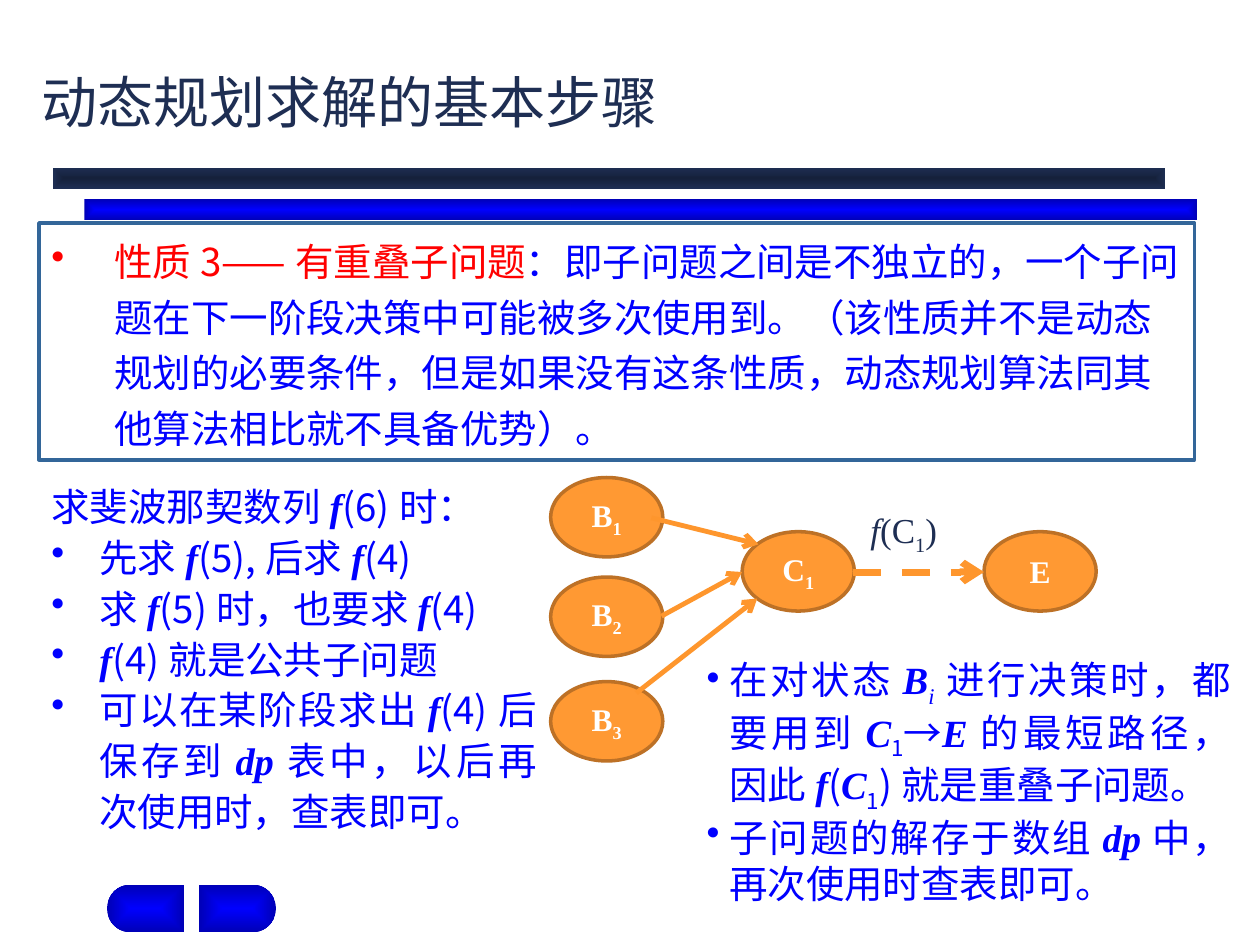
from math import cos, pi, sin
from typing import NamedTuple, Optional

from lxml.etree import SubElement
from pptx import Presentation
from pptx.dml.color import RGBColor
from pptx.enum.dml import MSO_LINE
from pptx.enum.shapes import MSO_CONNECTOR, MSO_SHAPE
from pptx.enum.text import MSO_ANCHOR as Anchor, MSO_AUTO_SIZE as AutoSize, PP_ALIGN as Align
from pptx.oxml.ns import qn
from pptx.util import Inches, Pt

NAVY, DARK_NAVY = RGBColor(0x1E, 0x2E, 0x53), RGBColor(0x15, 0x21, 0x3B)
BLUE, DARK_BLUE = RGBColor(0, 0, 0xFF), RGBColor(0, 0, 0xB6)
RED, WHITE = RGBColor(0xFF, 0, 0), RGBColor(0xFF, 0xFF, 0xFF)
STEEL = RGBColor(0x33, 0x66, 0x99)
ORANGE, BROWN, ARROW = RGBColor(0xFF, 0x99, 0x33), RGBColor(0xBD, 0x71, 0x26), RGBColor(0xFE, 0x96, 0x2D)
SANS, SERIF, MONO = "Noto Sans CJK SC", "Times New Roman", "Courier New"
COLUMNS, ROWS = 100, 75
WIDTH, HEIGHT = Inches(10), Inches(7.5)


class Box(NamedTuple):
    column: float
    row: float
    columns: float
    rows: float


class Run(NamedTuple):
    text: str
    font: str = SANS
    bold: bool = False
    italic: bool = False
    subscript: bool = False
    color: RGBColor = BLUE
    size: int = 22


class Line(NamedTuple):
    runs: list
    indent: float = 0
    spacing: Optional[float] = None
    align: Optional[Align] = None


class Node(NamedTuple):
    letter: str
    index: str
    column: float
    row: float


class Arrow(NamedTuple):
    start: tuple
    end: tuple
    width: float = 2.75
    dashed: bool = False


def var(text: str) -> Run:
    return Run(text, SERIF, True, True)


def sub(text: str) -> Run:
    return Run(text, subscript=True)


def x(column: float) -> int:
    return round(WIDTH * column / COLUMNS)


def y(row: float) -> int:
    return round(HEIGHT * row / ROWS)


def place(box: Box) -> tuple:
    return x(box.column), y(box.row), x(box.columns), y(box.rows)


def glow(shape, center: RGBColor, edge: RGBColor) -> None:
    shape.shadow.inherit = False
    shape.line.fill.background()
    gradient = SubElement(shape.element.spPr, qn("a:gradFill"), rotWithShape="1")
    stops = SubElement(gradient, qn("a:gsLst"))
    for position, color in (("0", center), ("100000", edge)):
        stop = SubElement(stops, qn("a:gs"), pos=position)
        SubElement(stop, qn("a:srgbClr"), val=str(color))
    path = SubElement(gradient, qn("a:path"), path="rect")
    SubElement(path, qn("a:fillToRect"), l="50000", t="50000", r="50000", b="50000")
    shape.line._get_or_add_ln().addprevious(gradient)


def add_bar(slide, box: Box, center: RGBColor, edge: RGBColor) -> None:
    glow(slide.shapes.add_shape(MSO_SHAPE.RECTANGLE, *place(box)), center, edge)


def add_button(slide, flat_column: float, direction: int) -> None:
    radius, middle, straight = 1.9, 72.1, 4.2
    arc = [
        (x(flat_column + direction * (straight + radius * cos(angle))), y(middle + radius * sin(angle)))
        for angle in (pi * step / 20 - pi / 2 for step in range(21))
    ]
    builder = slide.shapes.build_freeform(x(flat_column), y(middle - radius))
    builder.add_line_segments(arc + [(x(flat_column), y(middle + radius))], close=True)
    glow(builder.convert_to_shape(), BLUE, DARK_BLUE)


def write(paragraph, line: Line) -> None:
    properties = paragraph._p.get_or_add_pPr()
    if line.indent:
        properties.set("marL", str(Inches(line.indent)))
        properties.set("indent", str(-Inches(line.indent)))
        SubElement(properties, qn("a:buChar"), char="•")
    paragraph.alignment = line.align
    if line.spacing:
        paragraph.line_spacing = line.spacing
    for item in line.runs:
        run = paragraph.add_run()
        run.text = item.text
        font = run.font
        font.name, font.size = item.font, Pt(item.size)
        font.bold, font.italic = item.bold, item.italic
        font.color.rgb = item.color
        run_properties = run._r.get_or_add_rPr()
        SubElement(run_properties, qn("a:ea"), typeface=SANS)
        if item.subscript:
            run_properties.set("baseline", "-25000")


def add_text(slide, box: Box, lines: list, wrap: bool = True):
    shape = slide.shapes.add_textbox(*place(box))
    frame = shape.text_frame
    frame.word_wrap = wrap
    frame.auto_size = AutoSize.SHAPE_TO_FIT_TEXT
    for number, line in enumerate(lines):
        write(frame.add_paragraph() if number else frame.paragraphs[0], line)
    return shape


def add_panel(slide, box: Box, lines: list):
    shape = add_text(slide, box, lines)
    shape.fill.solid()
    shape.fill.fore_color.rgb = WHITE
    return shape


def add_node(slide, node: Node) -> None:
    box = Box(node.column, node.row, 8.9, 6.3)
    shape = slide.shapes.add_shape(MSO_SHAPE.OVAL, *place(box))
    shape.shadow.inherit = False
    shape.fill.solid()
    shape.fill.fore_color.rgb = ORANGE
    shape.line.color.rgb, shape.line.width = BROWN, Pt(2)
    shape.text_frame.vertical_anchor = Anchor.MIDDLE
    label = Run(node.letter, SERIF, True, color=WHITE, size=18)
    runs = [label] + ([label._replace(text=node.index, subscript=True)] if node.index else [])
    write(shape.text_frame.paragraphs[0], Line(runs, align=Align.CENTER))


def add_arrow(slide, arrow: Arrow) -> None:
    (left, top), (right, bottom) = arrow.start, arrow.end
    connector = slide.shapes.add_connector(MSO_CONNECTOR.STRAIGHT, x(left), y(top), x(right), y(bottom))
    connector.line.color.rgb, connector.line.width = ARROW, Pt(arrow.width)
    if arrow.dashed:
        connector.line.dash_style = MSO_LINE.DASH
    SubElement(connector.line._get_or_add_ln(), qn("a:tailEnd"), type="arrow")
    SubElement(connector.element.spPr, qn("a:effectLst"))


def main() -> None:
    """Build the slide on overlapping subproblems and save it."""
    presentation = Presentation()
    presentation.slide_width, presentation.slide_height = WIDTH, HEIGHT
    slide = presentation.slides.add_slide(presentation.slide_layouts[6])

    add_bar(slide, Box(6.7, 15.8, 88.3, 1.7), BLUE, DARK_BLUE)
    add_bar(slide, Box(4.2, 13.3, 88.3, 1.7), DARK_NAVY, NAVY)
    add_button(slide, 14.6, -1)
    add_button(slide, 15.8, 1)

    decisions = [
        [Run("在对状态"), var("B"), Run("i", SERIF, italic=True, subscript=True), Run("进行决策时，都要用到"),
         var("C"), sub("1"), Run("→"), var("E"), Run("的最短路径，因此"), var("f"), Run("("), var("C"),
         sub("1"), Run(")就是重叠子问题。")],
        [Run("子问题的解存于数组"), var("dp"), Run("中，再次使用时查表即可。")],
    ]
    add_panel(slide, Box(55.1, 51.6, 43.6, 19.5), [Line(runs, 0.18, align=Align.JUSTIFY) for runs in decisions])

    overlap = [
        Run("性质3——有重叠子问题", color=RED),
        Run("：即子问题之间是不独立的，一个子问题在下一阶段决策中可能被多次使用到。（该性质并不是动态规划的"
            "必要条件，但是如果没有这条性质，动态规划算法同其他算法相比就不具备优势）。"),
    ]
    panel = add_panel(slide, Box(3.1, 17.7, 91.7, 18.8), [Line(overlap, 0.5, 1.2)])
    panel.line.color.rgb, panel.line.width = STEEL, Pt(2)

    fibonacci = [
        [Run("求斐波那契数列"), var("f"), Run("(6)时：")],
        [Run("先求"), var("f"), Run("(5),后求"), var("f"), Run("(4)")],
        [Run("求"), var("f"), Run("(5)时，也要求"), var("f"), Run("(4)")],
        [var("f"), Run("(4)就是公共子问题")],
        [Run("可以在某阶段求出"), var("f"), Run("(4)后保存到"), var("dp"), Run("表中，以后再次使用时，查表即可。")],
    ]
    add_text(slide, Box(3.1, 37.5, 40.5, 29.5),
             [Line(runs, 0.38 if number else 0, 1.1, Align.JUSTIFY) for number, runs in enumerate(fibonacci)])
    add_panel(slide, Box(2.3, 4.9, 60.2, 6.4), [Line([Run("动态规划求解的基本步骤", MONO, color=NAVY, size=32)])])

    for node in (Node("C", "1", 58.9, 42.2), Node("E", "", 78.1, 42.2), Node("B", "1", 43.7, 37.9),
                 Node("B", "2", 43.7, 45.8), Node("B", "3", 43.7, 54.1)):
        add_node(slide, node)
    for arrow in (Arrow((67.7, 45.4), (78.1, 45.4), 4, True), Arrow((51.7, 41.1), (60.2, 43.2)),
                  Arrow((52.5, 48.9), (58.9, 45.4)), Arrow((50.5, 55), (60.1, 47.5))):
        add_arrow(slide, arrow)
    cost = Run("(C", SERIF, color=NAVY, size=20)
    formula = [cost._replace(text="f", italic=True), cost, cost._replace(text="1", subscript=True),
               cost._replace(text=")")]
    add_text(slide, Box(68.1, 39.9, 7.4, 4.4), [Line(formula)], wrap=False)

    presentation.save("out.pptx")


if __name__ == "__main__":
    main()
